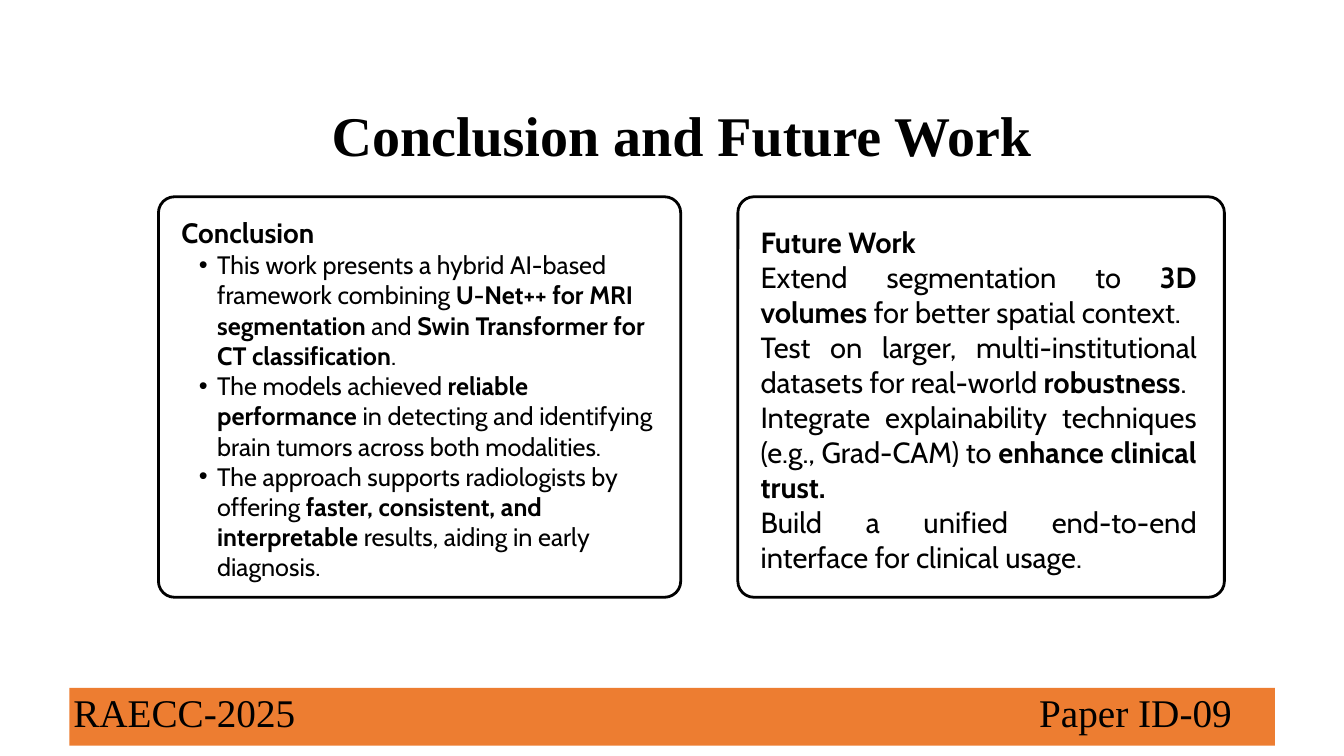
import pptx
import pptx.dml.color
import pptx.enum.shapes
import pptx.enum.text
import pptx.oxml.ns
import pptx.util
from dataclasses import dataclass
from lxml import etree

Cm = pptx.util.Cm
Pt = pptx.util.Pt
Align = pptx.enum.text.PP_ALIGN
Anchor = pptx.enum.text.MSO_ANCHOR
Preset = pptx.enum.shapes.MSO_SHAPE
qn = pptx.oxml.ns.qn


@dataclass(frozen=True)
class Theme:
    ink = pptx.dml.color.RGBColor.from_string("000000")
    band = pptx.dml.color.RGBColor.from_string("ED7D31")
    serif = "Times New Roman"
    sans = "Cabin"
    title = 60
    footer = 42
    heading = 30
    bullet = 27
    future = 31.2


theme = Theme()


def prepare_frame(shape, inset=0, anchor=Anchor.TOP):
    frame = shape.text_frame
    frame.word_wrap = True
    frame.vertical_anchor = anchor
    frame.margin_left = frame.margin_right = Cm(inset)
    frame.margin_top = frame.margin_bottom = Cm(inset)
    return frame


def write_paragraph(frame, runs, font, size, spacing, align=Align.LEFT):
    """Fill the empty first paragraph or a new one with (text, bold) runs."""
    first = frame.paragraphs[0]
    paragraph = frame.add_paragraph() if first.runs else first
    paragraph.alignment = align
    paragraph.line_spacing = Pt(spacing)
    for text, bold in runs:
        run = paragraph.add_run()
        run.text = text
        run.font.name = font
        run.font.size = Pt(size)
        run.font.bold = bold
        run.font.color.rgb = theme.ink
    return paragraph


presentation = pptx.Presentation()
presentation.slide_width = Cm(50.8)
presentation.slide_height = Cm(28.58)
slide = presentation.slides.add_slide(presentation.slide_layouts[6])
shapes = slide.shapes

# Title
title = shapes.add_textbox(Cm(6.71), Cm(2.77), Cm(38.1), Cm(3.56))
frame = prepare_frame(title, anchor=Anchor.BOTTOM)
write_paragraph(frame, [("Conclusion and Future Work", True)],
                theme.serif, theme.title, 64.8, Align.CENTER)

# Footer band, with the paper number on a right tab
band = shapes.add_shape(Preset.RECTANGLE, Cm(2.62), Cm(26.01), Cm(45.57), Cm(2.18))
band.shadow.inherit = False
band.fill.solid()
band.fill.fore_color.rgb = theme.band
band.line.fill.background()
frame = prepare_frame(band)
frame.margin_left = Cm(0.15)
paragraph = write_paragraph(frame, [("RAECC-2025\tPaper ID-09", False)],
                            theme.serif, theme.footer, 50.4)
tabs = etree.SubElement(paragraph._p.get_or_add_pPr(), qn("a:tabLst"))
etree.SubElement(tabs, qn("a:tab"), pos=str(Cm(43.79)), algn="r")

# Card outlines
for left, width in [(5.99, 19.74), (27.89, 18.39)]:
    card = shapes.add_shape(Preset.ROUNDED_RECTANGLE,
                            Cm(left), Cm(7.44), Cm(width), Cm(15.14))
    card.adjustments[0] = 0.04
    card.shadow.inherit = False
    card.fill.background()
    card.line.color.rgb = theme.ink
    card.line.width = Pt(3)

# Conclusion
conclusion = [
    [("This work presents a hybrid AI-based framework combining ", False),
     ("U-Net++ for MRI segmentation", True), (" and ", False),
     ("Swin Transformer for CT classification", True), (".", False)],
    [("The models achieved ", False), ("reliable performance", True),
     (" in detecting and identifying brain tumors across both modalities.", False)],
    [("The approach supports radiologists by offering ", False),
     ("faster, consistent, and interpretable", True),
     (" results, aiding in early diagnosis.", False)],
]
box = shapes.add_textbox(Cm(6.71), Cm(8.01), Cm(18.54), Cm(14.14))
frame = prepare_frame(box, inset=0.15)
write_paragraph(frame, [("Conclusion", True)], theme.sans, theme.heading, 36)
for runs in conclusion:
    paragraph = write_paragraph(frame, runs, theme.sans, theme.bullet, 32.4)
    properties = paragraph._p.get_or_add_pPr()
    properties.set("marL", str(Cm(1.35)))
    properties.set("indent", str(Cm(-0.69)))
    etree.SubElement(properties, qn("a:buFont"), typeface="Arial")
    etree.SubElement(properties, qn("a:buChar"), char="•")

# Future work
future_work = [
    [("Future Work", True)],
    [("Extend segmentation to ", False), ("3D volumes", True),
     (" for better spatial context.", False)],
    [("Test on larger, multi-institutional datasets for real-world ", False),
     ("robustness", True), (".", False)],
    [("Integrate explainability techniques (e.g., Grad-CAM) to ", False),
     ("enhance clinical trust.", True)],
    [("Build a unified end-to-end interface for clinical usage.", False)],
]
box = shapes.add_textbox(Cm(28.75), Cm(8.48), Cm(16.48), Cm(13.23))
frame = prepare_frame(box)
for runs in future_work:
    write_paragraph(frame, runs, theme.sans, theme.future, 37.5, Align.JUSTIFY)

presentation.save("out.pptx")
